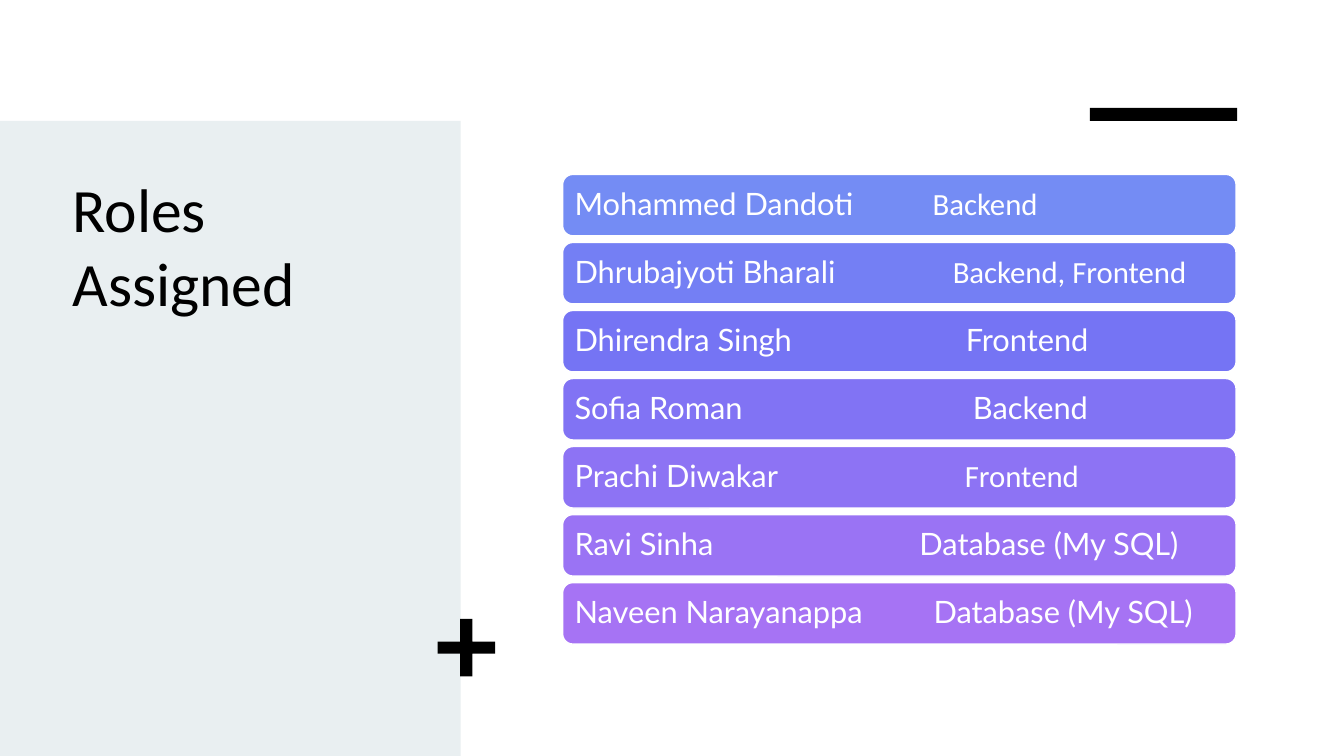
from dataclasses import dataclass

from lxml import etree
from pptx import Presentation
from pptx.dml.color import RGBColor
from pptx.enum.shapes import MSO_SHAPE
from pptx.enum.text import MSO_ANCHOR, MSO_AUTO_SIZE, PP_ALIGN
from pptx.oxml.ns import qn
from pptx.util import Inches, Pt

RECTANGLE = MSO_SHAPE.RECTANGLE
ROUNDED = MSO_SHAPE.ROUNDED_RECTANGLE
PLUS = MSO_SHAPE.CROSS
LEFT = PP_ALIGN.LEFT
TOP = MSO_ANCHOR.TOP
MIDDLE = MSO_ANCHOR.MIDDLE
NO_AUTOFIT = MSO_AUTO_SIZE.NONE
TITLE_ONLY = 5


@dataclass(frozen=True)
class Theme:
    panel: str = "E9EFF1"
    ink: str = "000000"
    paper: str = "FFFFFF"
    title_font: str = "Calibri"
    name_font: str = "Lato"
    role_font: str = "Calibri"
    title_size: int = 44
    row_size: int = 22


theme = Theme()

# name, role, role font, start of the role from the text edge, bar colour
ROLES = [
    ("Mohammed Dandoti", "Backend", theme.role_font, 3.55, "748CF4"),
    ("Dhrubajyoti Bharali", "Backend, Frontend", theme.role_font, 3.75, "747FF4"),
    ("Dhirendra Singh", "Frontend", theme.name_font, 3.88, "7574F4"),
    ("Sofia Roman", "Backend", theme.name_font, 3.95, "8173F4"),
    ("Prachi Diwakar", "Frontend", theme.role_font, 3.87, "8D73F4"),
    ("Ravi Sinha", "Database (My SQL)", theme.name_font, 3.42, "9A73F4"),
    ("Naveen Narayanappa", "Database (My SQL)", theme.name_font, 3.56, "A673F4"),
]
FIRST_TOP, LAST_TOP = 1.73, 5.78
ROW_STEP = (LAST_TOP - FIRST_TOP) / (len(ROLES) - 1)

deck = Presentation()
deck.slide_width = Inches(13.33)
deck.slide_height = Inches(7.5)
page = deck.slides.add_slide(deck.slide_layouts[TITLE_ONLY])


def add_block(kind, left, top, width, height, color):
    """Add a filled shape without outline or shadow."""
    block = page.shapes.add_shape(
        kind, Inches(left), Inches(top), Inches(width), Inches(height))
    block.shadow.inherit = False
    block.fill.solid()
    block.fill.fore_color.rgb = RGBColor.from_string(color)
    block.line.fill.background()
    return block


def add_span(para, text, font, size, color):
    span = para.add_run()
    span.text = text
    span.font.name = font
    span.font.size = Pt(size)
    span.font.color.rgb = RGBColor.from_string(color)


# Side panel with the title on top of it
panel = add_block(RECTANGLE, 0, 1.2, 4.57, 6.3, theme.panel)
title = page.shapes.title
panel.element.addnext(title.element)
title.left, title.top = Inches(0.62), Inches(1.65)
title.width, title.height = Inches(3.5), Inches(4.4)
frame = title.text_frame
frame.auto_size = NO_AUTOFIT
frame.word_wrap = True
frame.vertical_anchor = TOP
heading = frame.paragraphs[0]
heading.alignment = LEFT
heading.space_after = Pt(6)
add_span(heading, "Roles Assigned", theme.title_font, theme.title_size, theme.ink)

# Accents
add_block(RECTANGLE, 10.81, 1.07, 1.46, 0.13, theme.ink)
plus = add_block(PLUS, 4.34, 6.14, 0.57, 0.57, theme.ink)
plus.adjustments[0] = 0.395

# One bar per person
for row, (name, role, role_font, role_start, color) in enumerate(ROLES):
    bar = add_block(ROUNDED, 5.58, FIRST_TOP + row * ROW_STEP, 6.68, 0.61, color)
    bar.line.color.rgb = RGBColor.from_string(theme.paper)
    bar.line.width = Pt(1)
    frame = bar.text_frame
    frame.word_wrap = True
    frame.vertical_anchor = MIDDLE
    frame.margin_left = frame.margin_right = Inches(0.09)
    frame.margin_top = frame.margin_bottom = Inches(0.09)
    para = frame.paragraphs[0]
    para.alignment = LEFT
    para.line_spacing = 0.9
    tabs = etree.SubElement(para._p.get_or_add_pPr(), qn("a:tabLst"))
    etree.SubElement(tabs, qn("a:tab"), pos=str(Inches(role_start)), algn="l")
    add_span(para, name, theme.name_font, theme.row_size, theme.paper)
    add_span(para, "\t" + role, role_font, theme.row_size, theme.paper)

deck.save("out.pptx")
